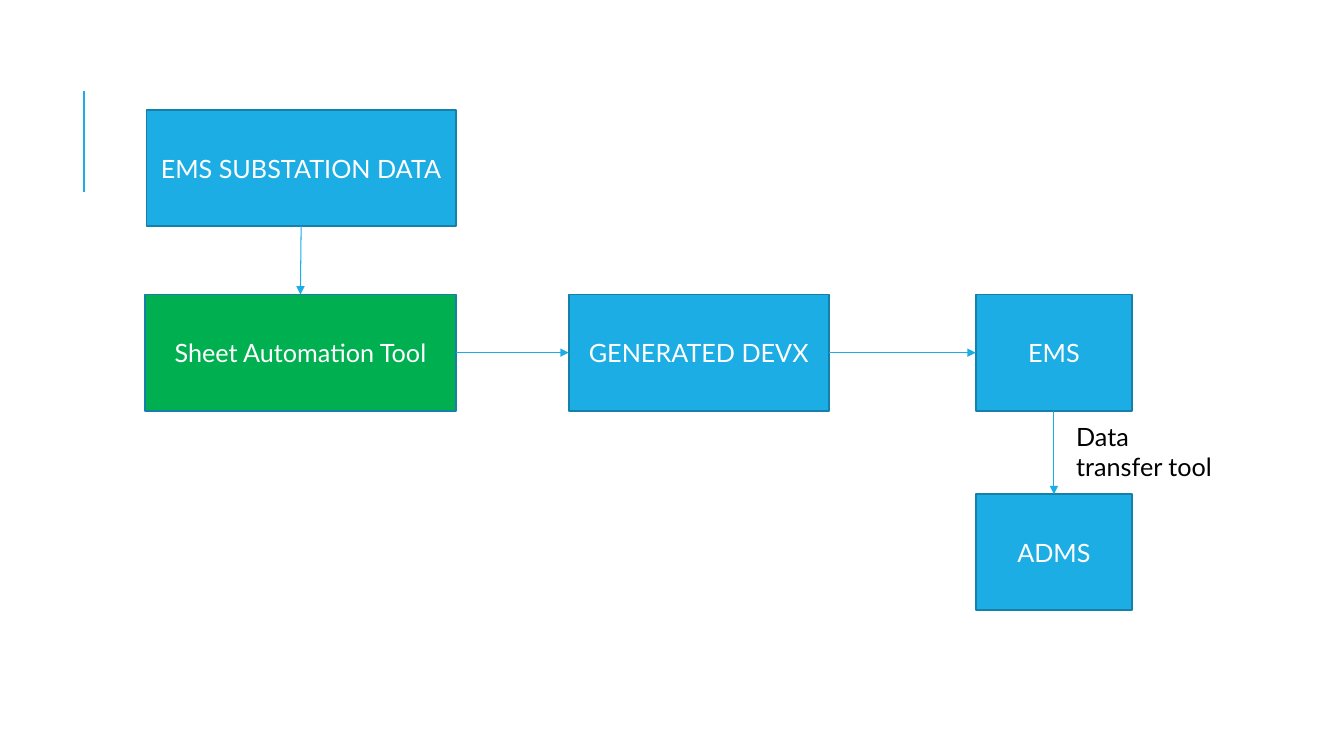
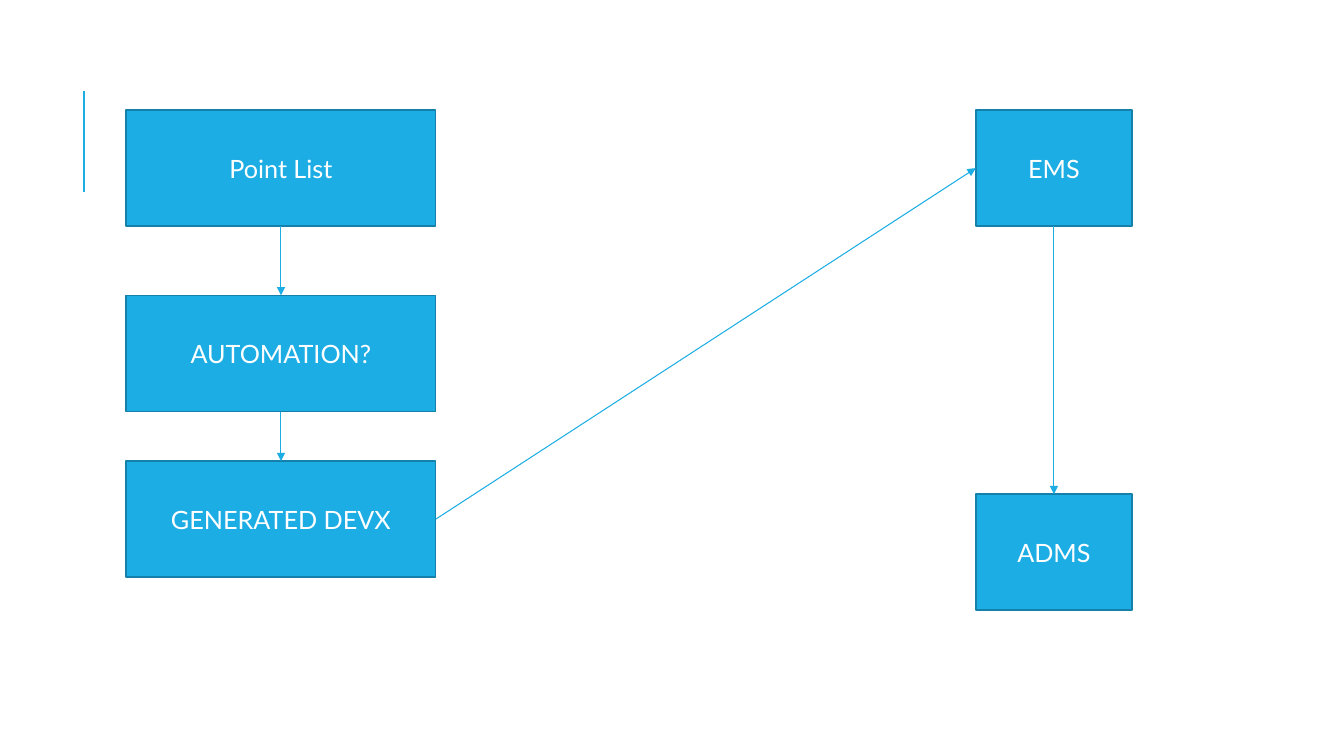
from dataclasses import dataclass

from pptx import Presentation, util as u
from pptx.dml.color import RGBColor
from pptx.enum import shapes, text
from pptx.oxml import ns, xmlchemy

Pt = u.Pt
TOP, LEFT, BOTTOM, RIGHT = range(4)  # connection sites of a rectangle


@dataclass(frozen=True)
class Theme:
    """Colours, type and line widths shared by the slides."""
    accent: str = "1CADE4"
    outline: str = "1580A9"
    highlight: str = "00B050"
    light: str = "FFFFFF"
    dark: str = "000000"
    font: str = "Lato"
    text_size: float = 18
    rule_width: float = 1.5
    outline_width: float = 1.25
    arrow_width: float = 0.75


THEME = Theme()
BOX_HEIGHT = 83
TOP_ROW, MIDDLE_ROW, BOTTOM_ROW = 78.6, 210.4, 353
SYSTEM_LEFT, SYSTEM_WIDTH = 697, 111.6
SOURCE_WIDTH = 221


def write_text(shape, content, *, color=THEME.dark, size=THEME.text_size,
               align=text.PP_ALIGN.LEFT, anchor=text.MSO_ANCHOR.TOP):
    """Write one wrapped, formatted paragraph into a shape."""
    frame = shape.text_frame
    frame.word_wrap = True
    frame.vertical_anchor = anchor
    paragraph = frame.paragraphs[0]
    paragraph.alignment = align
    run = paragraph.add_run()
    run.text = content
    run.font.name = THEME.font
    run.font.size = Pt(size)
    run.font.color.rgb = RGBColor.from_string(color)


def add_box(slide, content, left, top, width, fill=THEME.accent):
    """Add a flow chart box with a centred caption."""
    shape = slide.shapes.add_shape(shapes.MSO_SHAPE.RECTANGLE, Pt(left),
                                   Pt(top), Pt(width), Pt(BOX_HEIGHT))
    shape.shadow.inherit = False
    shape.fill.solid()
    shape.fill.fore_color.rgb = RGBColor.from_string(fill)
    shape.line.color.rgb = RGBColor.from_string(THEME.outline)
    shape.line.width = Pt(THEME.outline_width)
    write_text(shape, content, color=THEME.light,
               align=text.PP_ALIGN.CENTER, anchor=text.MSO_ANCHOR.MIDDLE)
    return shape


def add_label(slide, content, left, top, width, height):
    """Add a plain text label that grows with its text."""
    label = slide.shapes.add_textbox(Pt(left), Pt(top), Pt(width), Pt(height))
    write_text(label, content)
    label.text_frame.auto_size = text.MSO_AUTO_SIZE.SHAPE_TO_FIT_TEXT


def add_line(slide, start, end, width):
    """Add a straight accent line without a shadow."""
    line = slide.shapes.add_connector(shapes.MSO_CONNECTOR.STRAIGHT,
                                      *map(Pt, start + end))
    line.line.color.rgb = RGBColor.from_string(THEME.accent)
    line.line.width = Pt(width)
    line.element.spPr.append(xmlchemy.OxmlElement("a:effectLst"))
    return line


def add_arrow(slide, source, target, source_site, target_site):
    """Connect two boxes with an arrow glued to their sides."""
    arrow = add_line(slide, (0, 0), (0, 0), THEME.arrow_width)
    arrow.begin_connect(source, source_site)
    arrow.end_connect(target, target_site)
    tail = xmlchemy.OxmlElement("a:tailEnd")
    tail.set("type", "triangle")
    arrow.element.spPr.find(ns.qn("a:ln")).append(tail)


def add_master_rule(presentation, slide):
    """Draw the accent rule and move it to the slide master."""
    rule = add_line(slide, (60, 136.8), (60, 64.8), THEME.rule_width)
    master_shapes = presentation.slide_master.shapes
    next_id = max(shape.shape_id for shape in master_shapes) + 1
    rule.element.find(".//" + ns.qn("p:cNvPr")).set("id", str(next_id))
    master_shapes.element.append(rule.element)


def add_system_box(slide, content, top):
    """Add a narrow box in the right-hand system column."""
    return add_box(slide, content, SYSTEM_LEFT, top, SYSTEM_WIDTH)


def build_substation_flow(slide):
    """Build the flow from substation data to ADMS."""
    data = add_box(slide, "EMS SUBSTATION DATA", 104.6, TOP_ROW, SOURCE_WIDTH)
    devx = add_box(slide, "GENERATED DEVX", 406.2, MIDDLE_ROW, 186)
    tool = add_box(slide, "Sheet Automation Tool", 103.6, MIDDLE_ROW, 222,
                   fill=THEME.highlight)
    adms = add_system_box(slide, "ADMS", BOTTOM_ROW)
    ems = add_system_box(slide, "EMS", MIDDLE_ROW)
    add_arrow(slide, data, tool, BOTTOM, TOP)
    add_arrow(slide, tool, devx, RIGHT, LEFT)
    add_arrow(slide, devx, ems, RIGHT, LEFT)
    add_arrow(slide, ems, adms, BOTTOM, TOP)
    add_label(slide, "Data transfer tool", 761.6, 297.4, SYSTEM_WIDTH, 51)


def build_point_list_flow(slide):
    """Build the flow from the point list to ADMS."""
    steps = (("Point List", TOP_ROW), ("AUTOMATION?", 211),
             ("GENERATED DEVX", 329.4))
    points, automation, devx = [
        add_box(slide, content, 90.2, top, SOURCE_WIDTH)
        for content, top in steps]
    adms = add_system_box(slide, "ADMS", BOTTOM_ROW)
    ems = add_system_box(slide, "EMS", TOP_ROW)
    add_arrow(slide, points, automation, BOTTOM, TOP)
    add_arrow(slide, automation, devx, BOTTOM, TOP)
    add_arrow(slide, devx, ems, RIGHT, LEFT)
    add_arrow(slide, ems, adms, BOTTOM, TOP)


def main():
    """Create and save the presentation."""
    presentation = Presentation()
    presentation.slide_width = Pt(960)
    presentation.slide_height = Pt(540)
    blank = presentation.slide_layouts.get_by_name("Blank")
    first, second = [presentation.slides.add_slide(blank) for _ in range(2)]
    add_master_rule(presentation, first)
    build_substation_flow(first)
    build_point_list_flow(second)
    presentation.save("out.pptx")


main()
